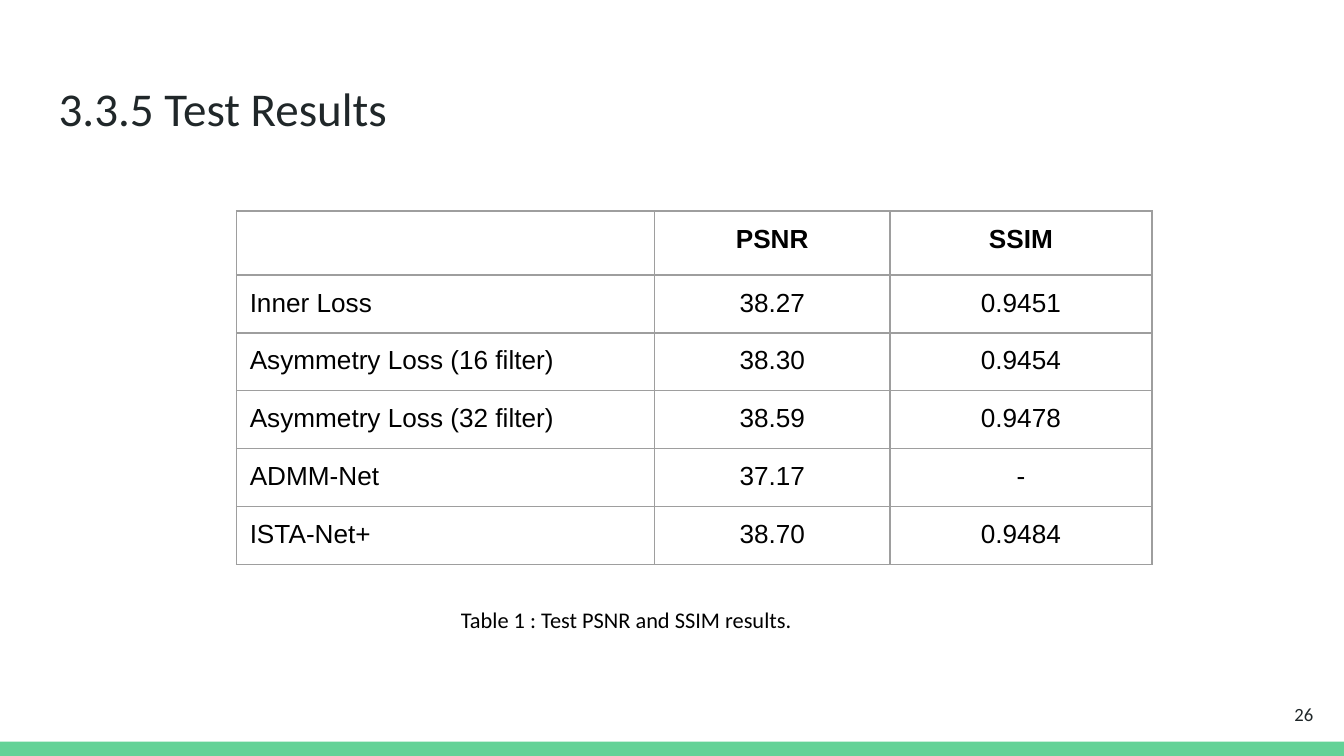
"""Build a slide with a table of PSNR and SSIM test results."""
import lxml.etree
import pptx
import pptx.dml.color
import pptx.enum.shapes
import pptx.enum.text
import pptx.oxml.ns
import pptx.util

Cm = pptx.util.Cm
Align = pptx.enum.text.PP_ALIGN
Anchor = pptx.enum.text.MSO_ANCHOR

TITLE = "3.3.5 Test Results"
NOTE = "Table 1 : Test PSNR and SSIM results."
PAGE = "26"
ROWS = [
    ("", "PSNR", "SSIM"),
    ("Inner Loss", "38.27", "0.9451"),
    ("Asymmetry Loss (16 filter)", "38.30", "0.9454"),
    ("Asymmetry Loss (32 filter)", "38.59", "0.9478"),
    ("ADMM-Net", "37.17", "-"),
    ("ISTA-Net+", "38.70", "0.9484"),
]
THEME = {
    "green": "63D297", "ink": "202729", "black": "000000", "line": "9E9E9E",
    "head": "Calibri", "body": "Arial",
    "title": 25.2, "cell": 14, "note": 12, "page": 10,
}
WIDE, HIGH = 25.4, 14.29
BAR = 0.27
PAD = Cm(0.25)
COLS = (7.9, 4.45, 4.95)
TOP, LEFT = 3.99, 4.47
HEAD, STEP = 1.21, 1.06


def color(name):
    return pptx.dml.color.RGBColor.from_string(THEME[name])


def style(para, face, size, ink, align=Align.LEFT, bold=False):
    para.alignment = align
    font = para.font
    font.name, font.size, font.bold = THEME[face], pptx.util.Pt(THEME[size]), bold
    font.color.rgb = color(ink)


def pad(item):
    item.margin_left = item.margin_right = PAD
    item.margin_top = item.margin_bottom = PAD


def label(slide, text, box, size, ink, align=Align.LEFT, anchor=Anchor.TOP):
    frame = slide.shapes.add_textbox(*map(Cm, box)).text_frame
    frame.word_wrap = True
    frame.vertical_anchor = anchor
    pad(frame)
    frame.text = text
    style(frame.paragraphs[0], "head", size, ink, align)


def border(cell):
    qn = pptx.oxml.ns.qn
    props = cell._tc.get_or_add_tcPr()
    for side in "LRTB":
        line = lxml.etree.SubElement(
            props, qn(f"a:ln{side}"), w=str(pptx.util.Pt(0.75)))
        fill = lxml.etree.SubElement(line, qn("a:solidFill"))
        lxml.etree.SubElement(fill, qn("a:srgbClr"), val=THEME["line"])


def grid(slide):
    highs = [HEAD] + [STEP] * (len(ROWS) - 1)
    table = slide.shapes.add_table(
        len(ROWS), len(COLS), Cm(LEFT), Cm(TOP),
        Cm(sum(COLS)), Cm(sum(highs))).table
    table.first_row = table.horz_banding = False
    for col, width in zip(table.columns, COLS):
        col.width = Cm(width)
    for r, row in enumerate(ROWS):
        table.rows[r].height = Cm(highs[r])
        for c, text in enumerate(row):
            cell = table.cell(r, c)
            border(cell)
            cell.fill.background()
            if text:
                pad(cell)
                cell.text = text
                style(cell.text_frame.paragraphs[0], "body", "cell", "black",
                      Align.CENTER if c else Align.LEFT, r == 0)


def main():
    deck = pptx.Presentation()
    deck.slide_width, deck.slide_height = Cm(WIDE), Cm(HIGH)
    slide = deck.slides.add_slide(deck.slide_layouts[6])
    bar = slide.shapes.add_shape(
        pptx.enum.shapes.MSO_SHAPE.RECTANGLE,
        0, Cm(HIGH - BAR), Cm(WIDE), Cm(BAR))
    bar.shadow.inherit = False
    bar.fill.solid()
    bar.fill.fore_color.rgb = color("green")
    bar.line.fill.background()
    label(slide, PAGE, (23.55, 12.95, 1.52, 1.09), "page", "ink",
          Align.RIGHT, Anchor.MIDDLE)
    label(slide, TITLE, (0.86, 1.25, 23.67, 1.6), "title", "ink")
    grid(slide)
    label(slide, NOTE, (8.46, 11.2, 10.62, 1.02), "note", "black")
    deck.save("out.pptx")


if __name__ == "__main__":
    main()
